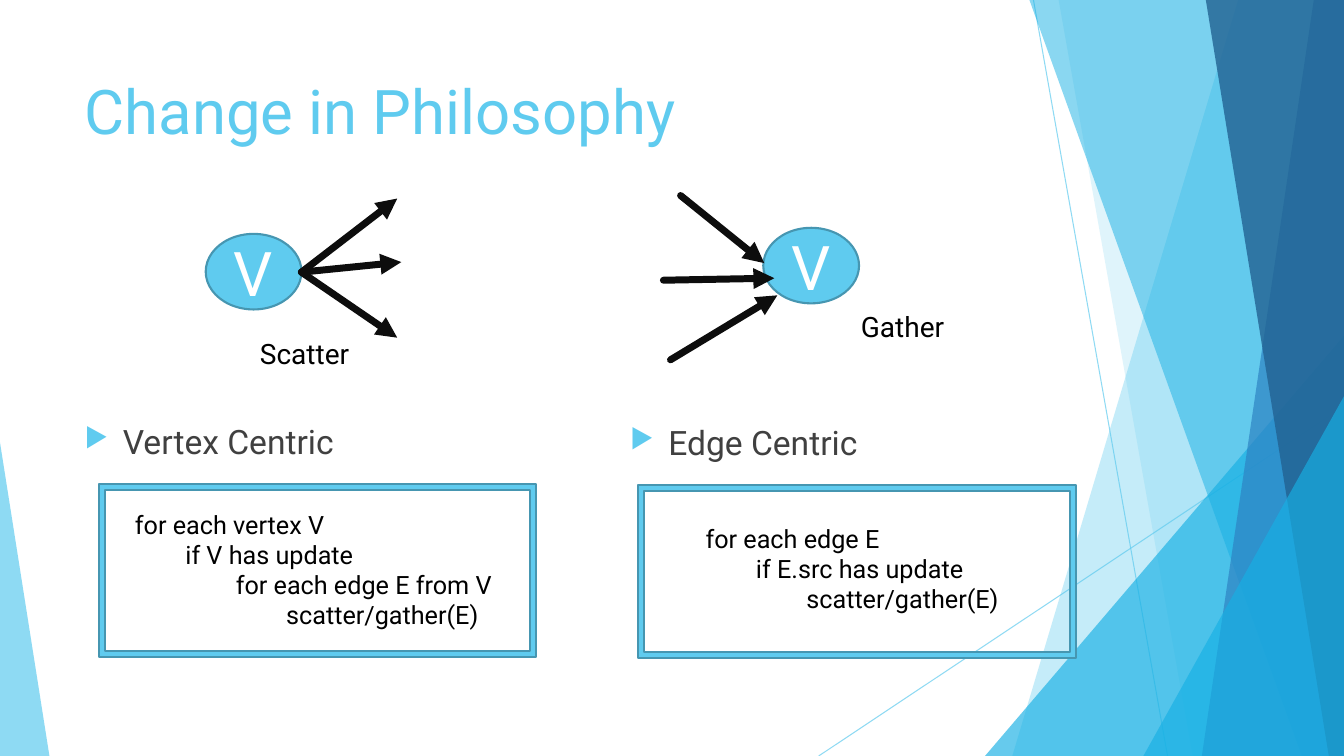
from dataclasses import dataclass

from lxml.etree import SubElement
from pptx import Presentation
from pptx.dml.color import RGBColor
from pptx.enum.shapes import MSO_CONNECTOR, MSO_SHAPE
from pptx.enum.text import MSO_ANCHOR, PP_ALIGN
from pptx.oxml.ns import qn
from pptx.util import Pt

SCALE = 9144  # EMU per px, 100 px to the inch
WIDTH, HEIGHT = 1333, 750


@dataclass(frozen=True)
class Theme:
    font: str = "Roboto"
    sky: str = "5FCBEF"
    azure: str = "17B0E4"
    blue: str = "2E83C3"
    navy: str = "226292"
    outline: str = "4696B1"
    arrow: str = "0D0D0D"
    body: str = "404040"
    black: str = "000000"
    white: str = "FFFFFF"
    title_size: int = 44
    bullet_size: int = 24
    label_size: int = 20
    code_size: int = 18


THEME = Theme()


def px(*lengths):
    return [round(length * SCALE) for length in lengths]


def within(box, part):
    """Shift a part given relative to the box's corner onto the slide."""
    return box[0] + part[0], box[1] + part[1], *part[2:]


def set_values(target, values):
    for name, value in values.items():
        setattr(target, name, value)


def set_alpha(shape, percent):
    for color in shape._element.spPr.iter(qn("a:srgbClr")):
        SubElement(color, qn("a:alpha"), val=str(percent * 1000))


def paint(shape, fill, outline=None):
    shape.shadow.inherit = False
    shape.fill.solid()
    shape.fill.fore_color.rgb = RGBColor.from_string(fill)
    if outline:
        shape.line.color.rgb = RGBColor.from_string(outline)
        shape.line.width = Pt(1.5)
    else:
        shape.line.fill.background()


def write(para, text, size, color):
    span = para.add_run()
    span.text = text
    set_values(span.font, {"name": THEME.font, "size": Pt(size)})
    span.font.color.rgb = RGBColor.from_string(color)


def add_text(page, box, lines, size, color, step=0):
    """Add a text box whose lines are each indented one step further."""
    frame = page.shapes.add_textbox(*px(*box)).text_frame
    frame.word_wrap = True
    for level, line in enumerate(lines):
        para = frame.add_paragraph() if level else frame.paragraphs[0]
        if level:
            para._p.get_or_add_pPr().set("marL", str(level * step * SCALE))
        write(para, line, size, color)
    return frame


def add_line(page, start, end, color, width):
    line = page.shapes.add_connector(MSO_CONNECTOR.STRAIGHT, *px(*start, *end))
    line.line.color.rgb = RGBColor.from_string(color)
    line.line.width = Pt(width)
    SubElement(line._element.spPr, qn("a:effectLst"))
    return line


def add_arrow(page, start, end):
    outline = add_line(page, start, end, THEME.arrow, 5).line._get_or_add_ln()
    outline.set("cap", "rnd")
    SubElement(outline, qn("a:round"))
    SubElement(outline, qn("a:tailEnd"), type="triangle")


def add_facet(page, top, bottom, color, alpha):
    """Fill from a slanted left edge to the right side of the slide."""
    builder = page.shapes.build_freeform(*px(top, 0), scale=1.0)
    corners = [(WIDTH, 0), (WIDTH, HEIGHT), (bottom, HEIGHT)]
    builder.add_line_segments([px(*corner) for corner in corners], close=True)
    facet = builder.convert_to_shape()
    paint(facet, color)
    set_alpha(facet, alpha)


def add_wedge(page, box, apex, color, alpha):
    wedge = page.shapes.add_shape(MSO_SHAPE.ISOSCELES_TRIANGLE, *px(*box))
    wedge.adjustments[0] = apex
    paint(wedge, color)
    set_alpha(wedge, alpha)


def draw_backdrop(page):
    for start, end in [((1025, 0), (1158, HEIGHT)), ((WIDTH, 403), (812, HEIGHT))]:
        set_alpha(add_line(page, start, end, THEME.sky, 0.75), 70)
    add_facet(page, 1228, 1004, THEME.sky, 36)
    add_facet(page, 1050, 1183, THEME.sky, 20)
    add_wedge(page, (977, 333, 356, 417), 1, THEME.azure, 66)
    add_facet(page, 1021, 1291, THEME.azure, 50)
    add_facet(page, 1303, 1192, THEME.blue, 70)
    add_facet(page, 1196, 1318, THEME.navy, 80)
    add_wedge(page, (1134, 393, 199, 357), 1, THEME.azure, 66)
    add_wedge(page, (0, 439, 49, 311), 0, THEME.sky, 70)


def draw_title(page, box, text):
    title = page.shapes.title
    set_values(title, dict(zip(("left", "top", "width", "height"), px(*box))))
    set_values(title.text_frame, {"vertical_anchor": MSO_ANCHOR.TOP, "word_wrap": True})
    para = title.text_frame.paragraphs[0]
    para.alignment = PP_ALIGN.LEFT
    write(para, text, THEME.title_size, THEME.sky)


def draw_vertex(page, box, arrows, label, label_box):
    vertex = page.shapes.add_shape(MSO_SHAPE.OVAL, *px(*box))
    paint(vertex, THEME.sky, THEME.outline)
    vertex.text_frame.vertical_anchor = MSO_ANCHOR.MIDDLE
    para = vertex.text_frame.paragraphs[0]
    para.alignment = PP_ALIGN.CENTER
    write(para, "V", THEME.title_size, THEME.white)
    for start, end in arrows:
        add_arrow(page, within(box, start), within(box, end))
    add_text(page, within(box, label_box), [label], THEME.label_size, THEME.black)


def draw_bullet(page, box, text):
    frame = add_text(page, box, [text], THEME.bullet_size, THEME.body)
    frame.margin_top = px(182)[0]
    props = frame.paragraphs[0]._p.get_or_add_pPr()
    props.set("marL", str(38 * SCALE))
    props.set("indent", str(-38 * SCALE))
    SubElement(SubElement(props, qn("a:buClr")), qn("a:srgbClr"), val=THEME.sky)
    SubElement(props, qn("a:buSzPct"), val="80000")
    SubElement(props, qn("a:buChar"), char="▶")


def draw_code(page, box, lines, text_box):
    border = page.shapes.add_shape(MSO_SHAPE.FRAME, *px(*box))
    border.adjustments[0] = 0.034
    paint(border, THEME.sky, THEME.outline)
    add_text(page, within(box, text_box), lines, THEME.code_size, THEME.black, step=50)


def main():
    deck = Presentation()
    deck.slide_width, deck.slide_height = px(WIDTH, HEIGHT)
    page = deck.slides.add_slide(deck.slide_layouts[5])
    draw_backdrop(page)
    draw_title(page, (74, 67, 940, 144), "Change in Philosophy")

    draw_bullet(page, (74, 236, 458, 424), "Vertex Centric")
    draw_bullet(page, (615, 237, 458, 424), "Edge Centric")

    scatter = [((95, 38), end) for end in [(190, 103), (194, 28), (190, -35)]]
    gather = [((-92, 131), (14, 67)), ((-99, 52), (11, 50)), ((-82, -32), (1, 35))]
    draw_vertex(page, (204, 232, 95, 75), scatter, "Scatter", (44, 97, 110, 44))
    draw_vertex(page, (757, 226, 95, 75), gather, "Gather", (87, 76, 106, 44))

    vertex_code = ["for each vertex V", "if V has update",
                   "for each edge E from V", "scatter/gather(E)"]
    edge_code = ["for each edge E", "if E.src has update", "scatter/gather(E)"]
    draw_code(page, (98, 480, 434, 172), vertex_code, (26, 20, 381, 131))
    draw_code(page, (633, 481, 434, 172), edge_code, (57, 33, 320, 101))
    deck.save("out.pptx")


if __name__ == "__main__":
    main()
